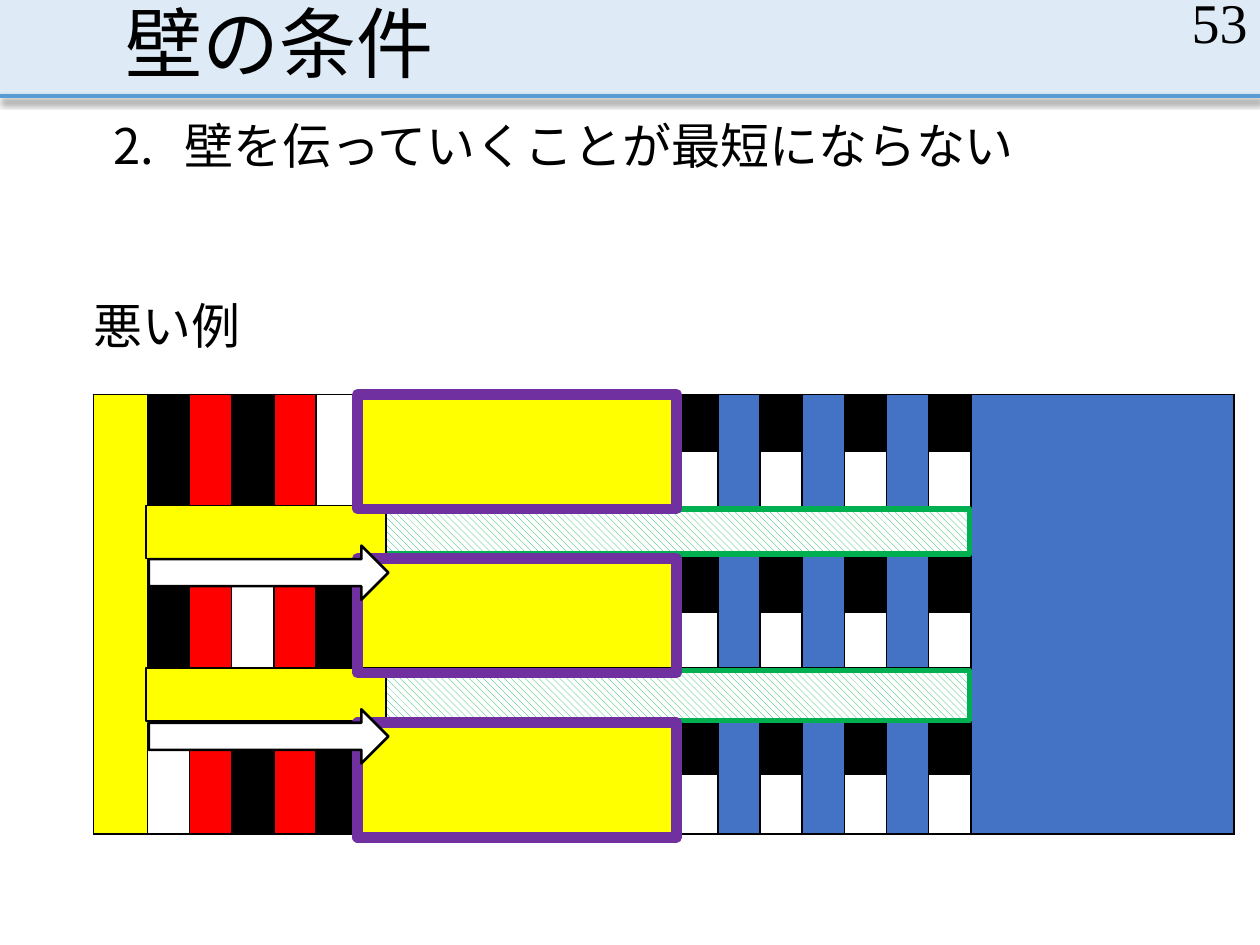
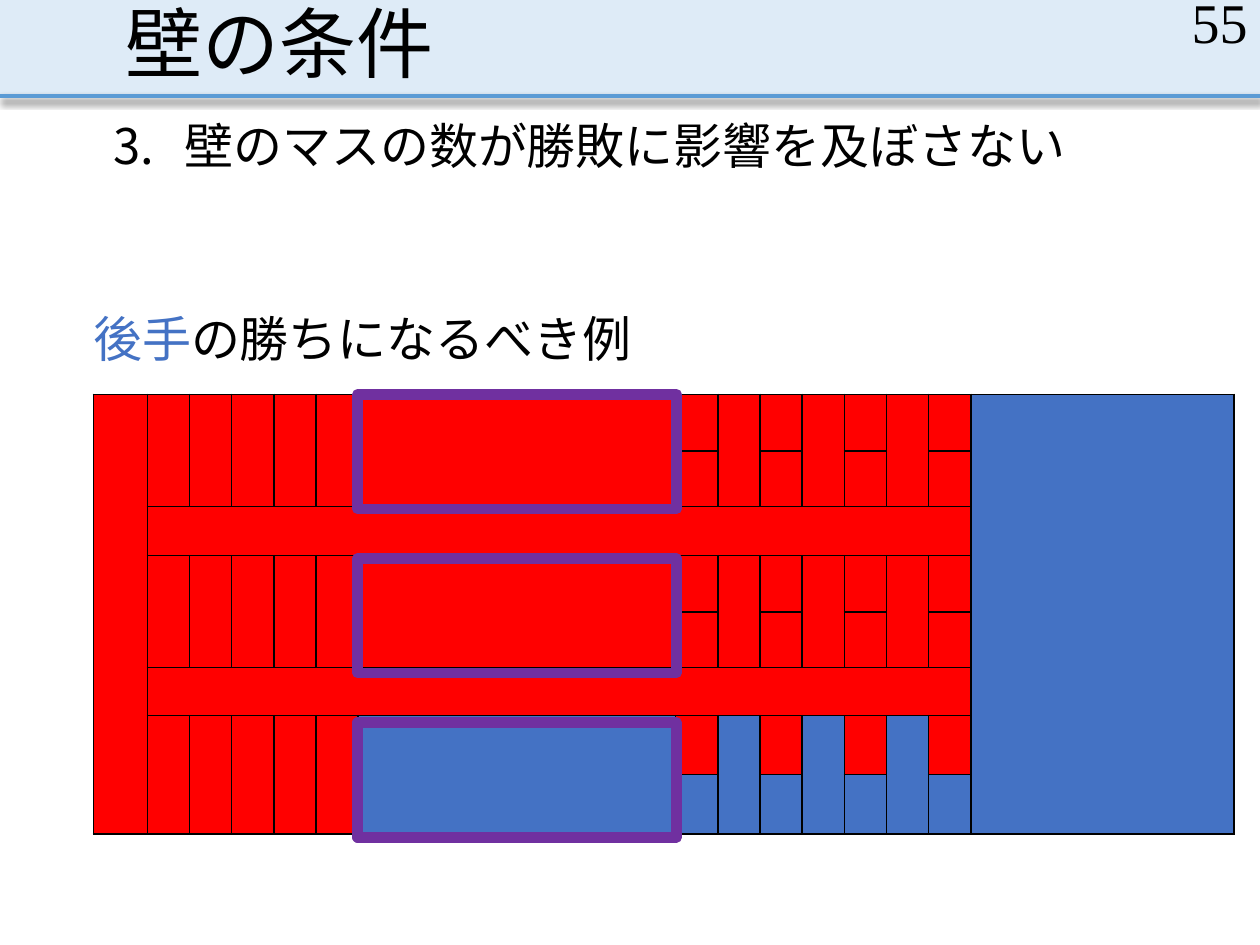
from lxml import etree
from pptx import Presentation
from pptx.dml.color import RGBColor
from pptx.enum.dml import MSO_PATTERN
from pptx.enum.shapes import MSO_CONNECTOR, MSO_SHAPE
from pptx.enum.text import MSO_ANCHOR, PP_ALIGN
from pptx.oxml import parse_xml
from pptx.oxml.ns import nsdecls, qn
from pptx.util import Cm, Pt

RECTANGLE, ARROW = MSO_SHAPE.RECTANGLE, MSO_SHAPE.RIGHT_ARROW
STRAIGHT = MSO_CONNECTOR.STRAIGHT
HATCH = MSO_PATTERN.WIDE_DOWNWARD_DIAGONAL
TOP, MIDDLE, BOTTOM = MSO_ANCHOR.TOP, MSO_ANCHOR.MIDDLE, MSO_ANCHOR.BOTTOM
LEFT, RIGHT = PP_ALIGN.LEFT, PP_ALIGN.RIGHT

BLACK = RGBColor(0x00, 0x00, 0x00)
WHITE = RGBColor(0xFF, 0xFF, 0xFF)
RED = RGBColor(0xFF, 0x00, 0x00)
YELLOW = RGBColor(0xFF, 0xFF, 0x00)
BLUE = RGBColor(0x44, 0x72, 0xC4)
GREEN = RGBColor(0x00, 0xB0, 0x50)
PURPLE = RGBColor(0x70, 0x30, 0xA0)
BAND_FILL = RGBColor(0xDE, 0xEB, 0xF7)
BAND_LINE = RGBColor(0x5B, 0x9B, 0xD5)

FONT = "Times New Roman"
TITLE = "壁の条件"
BAND_HEIGHT = 1.93

# Board geometry in centimetres; each lane takes two rows, with a wall row between lanes.
BOARD_LEFT, BOARD_TOP = 1.88, 7.95
COLUMN_WIDTHS = [1.09] + [0.85] * 5 + [6.4] + [0.85] * 7 + [5.31]
ROW_HEIGHTS = [1.14, 1.12, 0.99, 1.14, 1.12, 0.97, 1.19, 1.19]
LANE_ROWS, WALL_ROWS = (0, 3, 6), (2, 5)
LANE_PITCH = 3.31
SPLIT_COLUMNS = (7, 9, 11, 13)

# One letter a square; a dot leaves the square empty.
SQUARE_COLOURS = {"K": BLACK, "R": RED, "Y": YELLOW, "B": BLUE, ".": None}


def set_fill(fill, colour):
    if colour is None:
        fill.background()
    else:
        fill.solid()
        fill.fore_color.rgb = colour


def add_block(page, kind, place, colour, line_colour=None, line_width=0):
    block = page.shapes.add_shape(kind, *map(Cm, place))
    block.shadow.inherit = False
    set_fill(block.fill, colour)
    set_fill(block.line.fill, line_colour)
    if line_colour is not None:
        block.line.width = Pt(line_width)
    return block


def add_text(page, place, spans, size, anchor=TOP, align=LEFT, inset=0.0, number=None):
    """Add one paragraph of (text, colour) spans, numbered if a number is given."""
    box = page.shapes.add_textbox(*map(Cm, place))
    frame = box.text_frame
    settings = {"word_wrap": True, "vertical_anchor": anchor,
                "margin_left": Cm(inset), "margin_right": Cm(inset)}
    for name, value in settings.items():
        setattr(frame, name, value)
    para = frame.paragraphs[0]
    para.alignment = align
    para.line_spacing = 0.9
    if number is not None:
        properties = para._p.get_or_add_pPr()
        properties.set("marL", str(Cm(1.43)))
        properties.set("indent", str(-Cm(1.43)))
        etree.SubElement(properties, qn("a:buAutoNum"),
                         type="arabicPeriod", startAt=str(number))
    for text, colour in spans:
        span = para.add_run()
        span.text = text
        for name, value in {"name": FONT, "size": Pt(size)}.items():
            setattr(span.font, name, value)
        span.font.color.rgb = colour


def add_band_line(page):
    line = page.shapes.add_connector(STRAIGHT, 0, Cm(BAND_HEIGHT), Cm(25.4), Cm(BAND_HEIGHT))
    line.line.color.rgb = BAND_LINE
    line.line.width = Pt(2.25)
    line._element.spPr.append(parse_xml(
        f'<a:effectLst {nsdecls("a")}>'
        f'<a:outerShdw blurRad="{Pt(4)}" dist="{Pt(2.5)}" dir="5400000" algn="t">'
        '<a:srgbClr val="000000"><a:alpha val="47000"/></a:srgbClr>'
        '</a:outerShdw></a:effectLst>'))


def add_page(deck, page_number, rule_number, rule):
    """Add a page with the shared band, title, page number and numbered rule."""
    page = deck.slides.add_slide(deck.slide_layouts[6])
    add_block(page, RECTANGLE, (0, 0, 25.4, BAND_HEIGHT), BAND_FILL)
    add_band_line(page)
    add_text(page, (2.29, 0, 20.96, BAND_HEIGHT), [(TITLE, BLACK)], 44, BOTTOM, inset=0.25)
    add_text(page, (19.69, 0, 5.71, 1.02), [(str(page_number), BLACK)], 32,
             MIDDLE, RIGHT, inset=0.25)
    add_text(page, (2.29, 2.34, 20.96, 1.42), [(rule, BLACK)], 28, number=rule_number)
    return page


def add_borders(cell):
    properties = cell._tc.get_or_add_tcPr()
    for position, side in enumerate(("lnL", "lnR", "lnT", "lnB")):
        properties.insert(position, parse_xml(
            f'<a:{side} {nsdecls("a")} w="{Pt(1)}"><a:solidFill>'
            f'<a:srgbClr val="{BLACK}"/></a:solidFill></a:{side}>'))


def add_board(page, start, lanes, walls):
    """Draw the board; a lane is its 13 squares and the lower half of its split squares."""
    table = page.shapes.add_table(len(ROW_HEIGHTS), len(COLUMN_WIDTHS), Cm(BOARD_LEFT),
                                  Cm(BOARD_TOP), Cm(sum(COLUMN_WIDTHS)),
                                  Cm(sum(ROW_HEIGHTS))).table
    table.first_row = table.horz_banding = False
    for column, width in zip(table.columns, COLUMN_WIDTHS):
        column.width = Cm(width)
    for row, height in zip(table.rows, ROW_HEIGHTS):
        row.height = Cm(height)
    for cell in table.iter_cells():
        cell.margin_top = cell.margin_bottom = 0
        cell.fill.background()
        add_borders(cell)

    def paint(row, column, letter, last_row=None, last_column=None):
        cell = table.cell(row, column)
        if last_row is not None:
            cell.merge(table.cell(last_row, last_column))
        set_fill(cell.fill, SQUARE_COLOURS[letter])

    last_column = len(COLUMN_WIDTHS) - 1
    paint(0, 0, start, 7, 0)
    paint(0, last_column, "B", 7, last_column)
    for row in WALL_ROWS:
        paint(row, 1, walls, row, last_column - 1)
    for row, (squares, lower) in zip(LANE_ROWS, lanes):
        for column, letter in enumerate(squares, start=1):
            if column in SPLIT_COLUMNS:
                paint(row, column, letter)
                paint(row + 1, column, lower)
            else:
                paint(row, column, letter, row + 1, column)


def add_gates(page):
    for lane in range(3):
        top = BOARD_TOP + lane * LANE_PITCH
        add_block(page, RECTANGLE, (7.21, top, 6.43, 2.31), None, PURPLE, 6)


def add_hatched_wall(page, top, height):
    wall = add_block(page, RECTANGLE, (3, top, 16.54, height), WHITE, GREEN, 3)
    wall.fill.patterned()
    wall.fill.pattern = HATCH
    wall.fill.fore_color.rgb = GREEN
    wall.fill.back_color.rgb = WHITE


def build_shortcut_page(deck):
    page = add_page(deck, 53, 2, "壁を伝っていくことが最短にならない")
    lanes = [("KRKR.YKBKBKBK", "."), ("KR.RKYKBKBKBK", "."), (".RKRKYKBKBKBK", ".")]
    add_board(page, "Y", lanes, ".")
    add_hatched_wall(page, 10.26, 0.91)
    add_hatched_wall(page, 13.51, 1.02)
    for top in (10.19, 13.46):
        add_block(page, RECTANGLE, (2.95, top, 4.83, 1.07), YELLOW, BLACK, 1)
    add_text(page, (BOARD_LEFT, 5.97, 3.84, 1.42), [("悪い例", BLACK)], 28)
    add_gates(page)
    for top in (11, 14.3):
        add_block(page, ARROW, (3, top, 4.83, 1.09), WHITE, BLACK, 1.5)


def build_count_page(deck):
    page = add_page(deck, 55, 3, "壁のマスの数が勝敗に影響を及ぼさない")
    lanes = [("R" * 13, "R"), ("R" * 13, "R"), ("RRRRRBRBRBRBR", "B")]
    add_board(page, "R", lanes, "R")
    add_text(page, (BOARD_LEFT, 6.22, 12, 1.22),
             [("後手", BLUE), ("の勝ちになるべき例", BLACK)], 28)
    add_gates(page)


def main():
    deck = Presentation()
    deck.slide_width, deck.slide_height = Cm(25.4), Cm(19.05)
    build_shortcut_page(deck)
    build_count_page(deck)
    deck.save("out.pptx")


if __name__ == "__main__":
    main()
